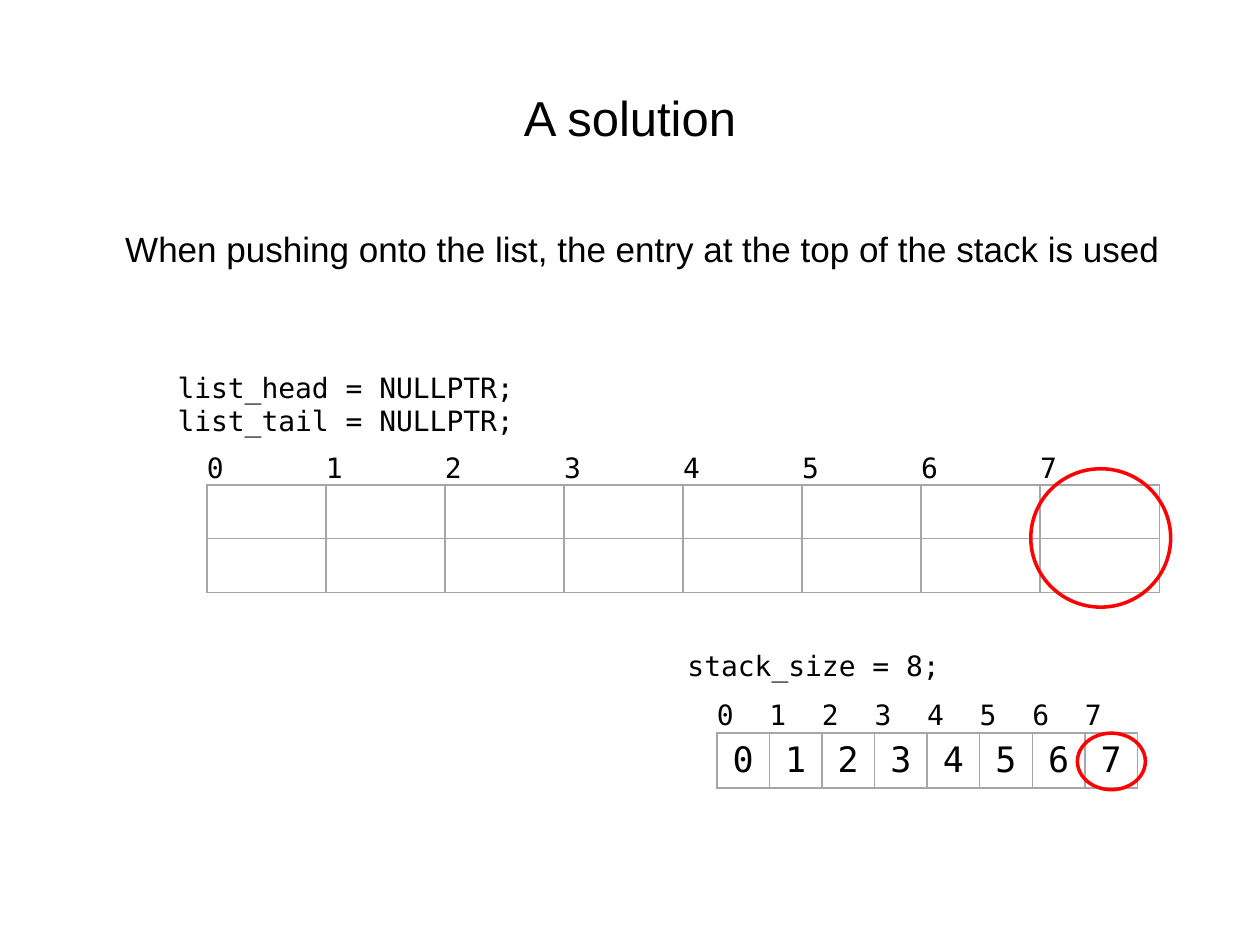
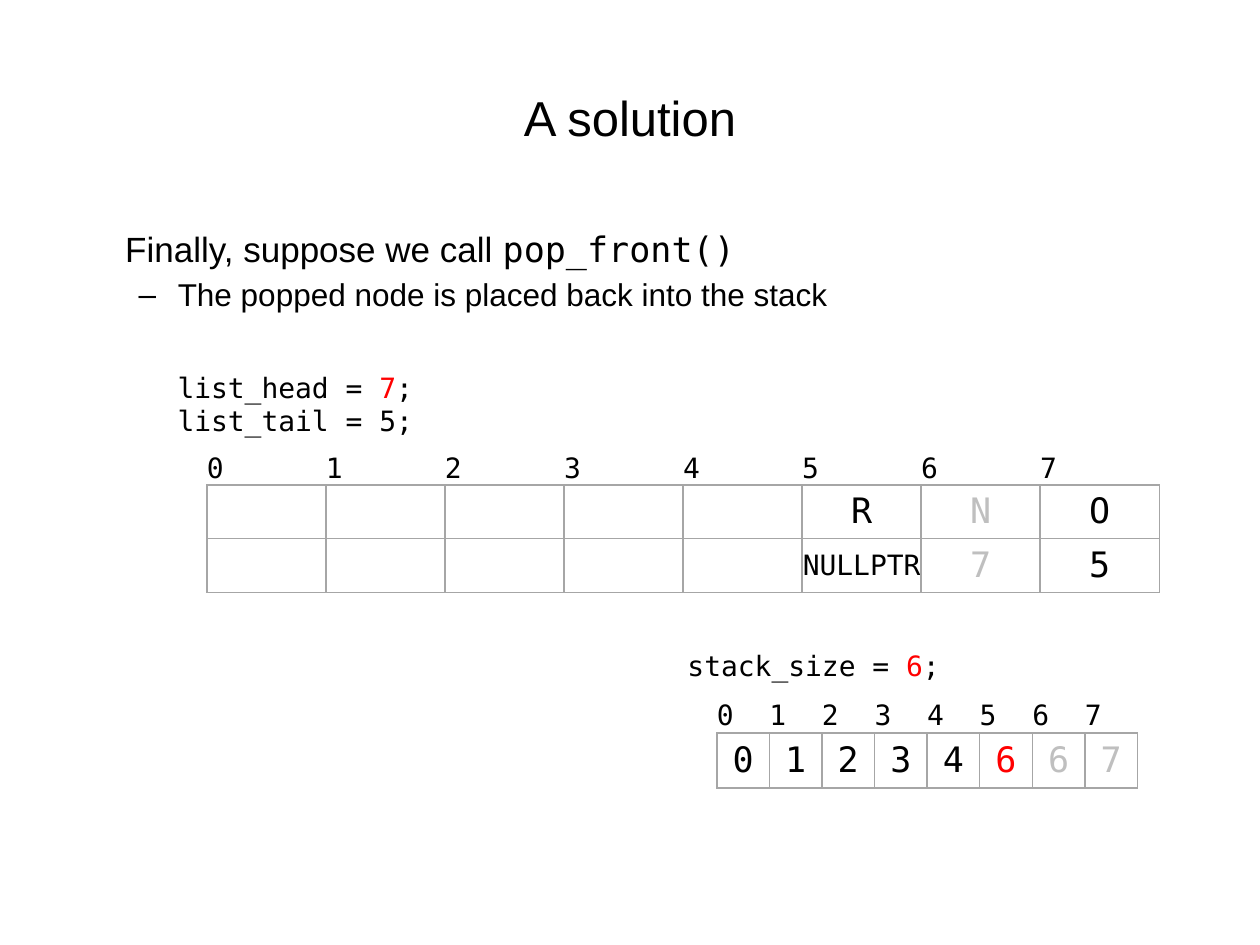
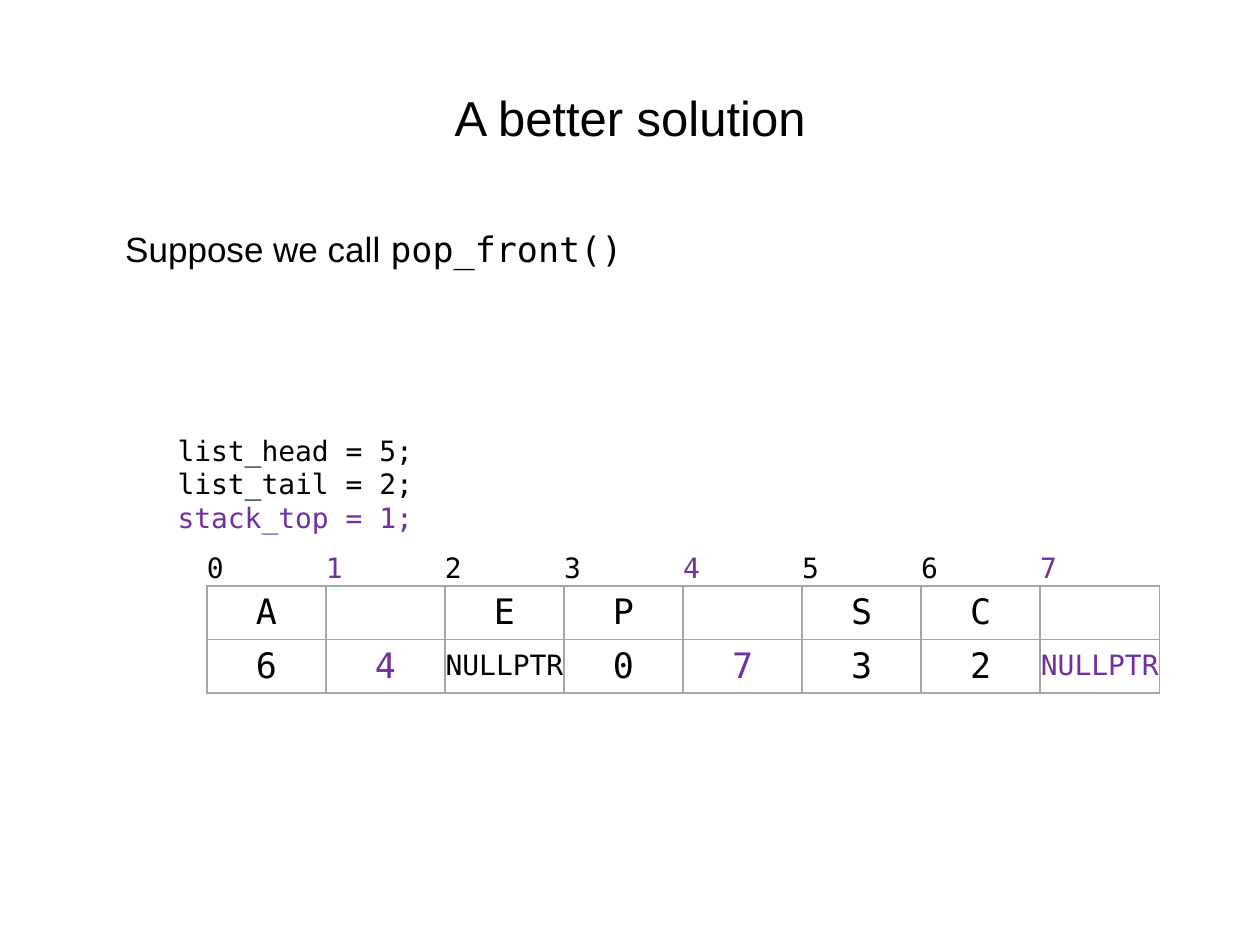
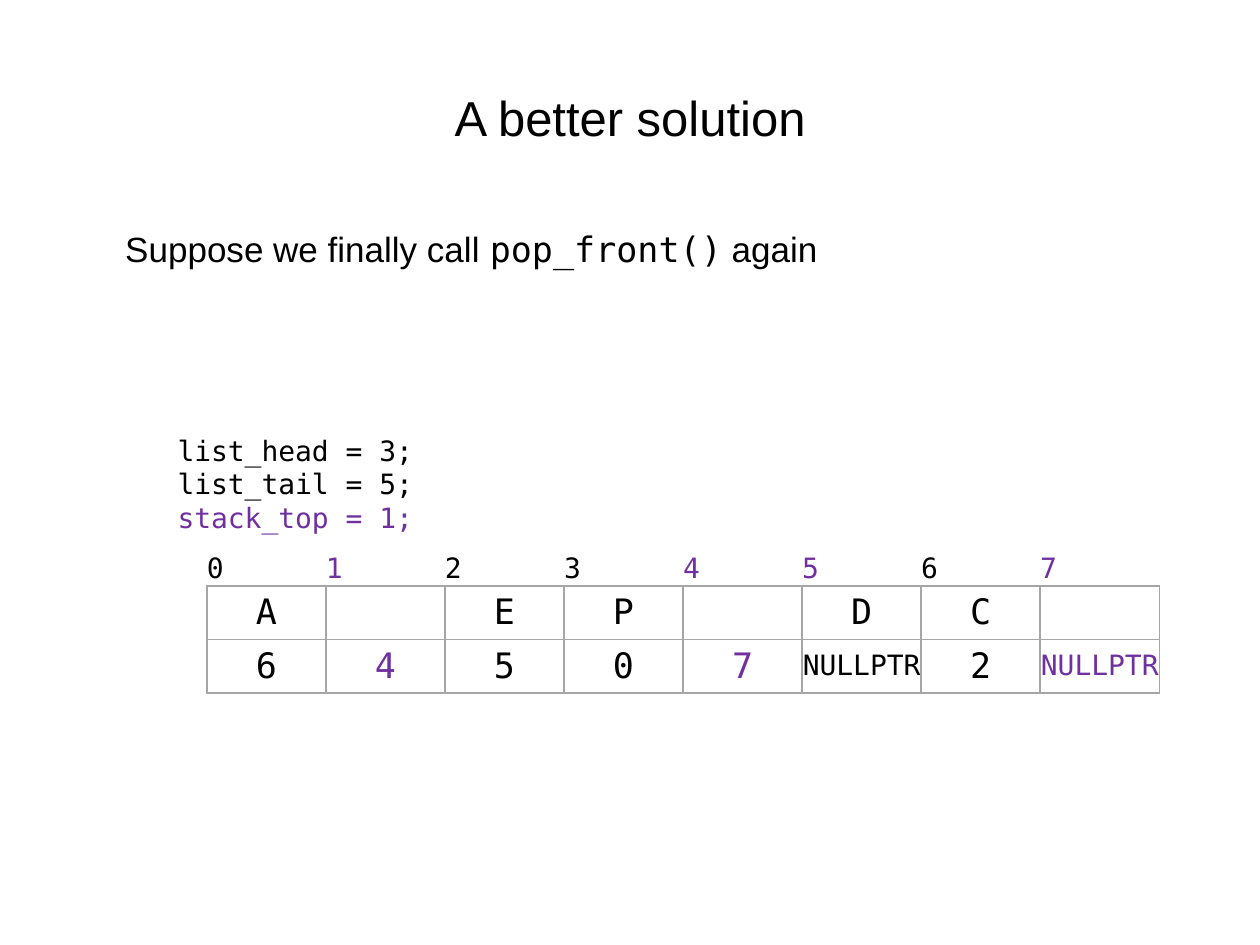
from typing import NamedTuple

from lxml import etree
from pptx import Presentation
from pptx.dml.color import RGBColor
from pptx.enum.shapes import MSO_SHAPE
from pptx.enum.text import MSO_ANCHOR, MSO_AUTO_SIZE, PP_ALIGN
from pptx.oxml.ns import qn
from pptx.util import Cm, Pt

OVAL = MSO_SHAPE.OVAL
MIDDLE = MSO_ANCHOR.MIDDLE
GROW = MSO_AUTO_SIZE.SHAPE_TO_FIT_TEXT
CENTER = PP_ALIGN.CENTER

COLORS = {
    "text": "000000",
    "changed": "FF0000",
    "stale": "BFBFBF",
    "free": "7030A0",
    "grid": "A6A6A6",
}
SANS = "Arial"
MONO = "DejaVu Sans Mono"
CODE_SIZE = 16
VALUE_SIZE = 20
SLOTS = [str(index) for index in range(8)]
NULL = "NULLPTR"


class Span(NamedTuple):
    text: str
    color: str = "text"
    font: str = ""


class ArrayStyle(NamedTuple):
    left: float
    column_width: float
    header_height: float
    row_height: float


NODE_ARRAY = ArrayStyle(4.17, 2.4, 0.66, 1.08)
STACK_ARRAY = ArrayStyle(14.45, 1.06, 0.68, 1.09)


def changed(text):
    return Span(text, "changed")


def stale(text):
    return Span(text, "stale")


def free(text):
    return Span(text, "free")


def code(text):
    return Span(text, font=MONO)


def as_span(item):
    return item if isinstance(item, Span) else Span(item)


def rgb(name):
    return RGBColor.from_string(COLORS[name])


def place(shape, left, top, width, height):
    shape.left, shape.top = Cm(left), Cm(top)
    shape.width, shape.height = Cm(width), Cm(height)


def write(para, items, size, font):
    """Fill a paragraph with spans; only what differs is set on a run."""
    spans = [as_span(item) for item in items]
    base_color = spans[0].color
    para.font.size = Pt(size)
    para.font.name = font
    para.font.color.rgb = rgb(base_color)
    for span in spans:
        run = para.add_run()
        run.text = span.text
        if span.font:
            run.font.name = span.font
        if span.color != base_color:
            run.font.color.rgb = rgb(span.color)


def add_slide(deck, title, statement, detail=""):
    page = deck.slides.add_slide(deck.slide_layouts[1])
    heading, body = page.placeholders
    place(heading, 1.27, 0.76, 22.86, 3.18)
    heading.text_frame.vertical_anchor = MIDDLE
    para = heading.text_frame.paragraphs[0]
    para.alignment = CENTER
    write(para, [title], 28, SANS)

    place(body, 1.27, 4.45, 22.86, 12.57)
    para = body.text_frame.paragraphs[0]
    para.space_before = Pt(0)
    set_indent(para, 1, 0)
    etree.SubElement(para._p.get_or_add_pPr(), qn("a:buNone"))
    write(para, statement, 20, SANS)
    if detail:
        para = body.text_frame.add_paragraph()
        para.level = 1
        para.space_before = Pt(3.6)
        set_indent(para, 2.06, -0.79)
        write(para, [detail], 18, SANS)
    return page


def set_indent(para, left, first_line):
    properties = para._p.get_or_add_pPr()
    properties.set("marL", str(Cm(left)))
    properties.set("indent", str(Cm(first_line)))


def add_code(page, left, top, width, lines):
    box = page.shapes.add_textbox(Cm(left), Cm(top), Cm(width),
                                  Cm(0.26 + 0.68 * len(lines)))
    frame = box.text_frame
    frame.word_wrap = True
    frame.auto_size = GROW
    for number, line in enumerate(lines):
        para = frame.add_paragraph() if number else frame.paragraphs[0]
        write(para, line, CODE_SIZE, MONO)


def set_borders(cell, visible_sides):
    properties = cell._tc.get_or_add_tcPr()
    for side in "LRTB":
        line = etree.SubElement(properties, qn(f"a:ln{side}"), w=str(Pt(1)))
        if side in visible_sides:
            fill = etree.SubElement(line, qn("a:solidFill"))
            etree.SubElement(fill, qn("a:srgbClr"), val=COLORS["grid"])
        else:
            etree.SubElement(line, qn("a:noFill"))


def remove_margins(cell):
    cell.margin_left = cell.margin_right = 0
    cell.margin_top = cell.margin_bottom = 0


def add_array(page, style, top, rows, header=SLOTS):
    """Draw an array as a grid with its indices standing above it."""
    heights = [style.header_height] + [style.row_height] * len(rows)
    table = page.shapes.add_table(
        len(heights), len(header), Cm(style.left), Cm(top),
        Cm(style.column_width * len(header)), Cm(sum(heights))).table
    table.first_row = table.horz_banding = False
    for column in table.columns:
        column.width = Cm(style.column_width)
    for row_number, items in enumerate([header, *rows]):
        table.rows[row_number].height = Cm(heights[row_number])
        for column_number, item in enumerate(items):
            cell = table.cell(row_number, column_number)
            span = as_span(item)
            para = cell.text_frame.paragraphs[0]
            is_header = row_number == 0
            set_borders(cell, "B" if is_header else "LRTB")
            cell.fill.background()
            if is_header or span.text == NULL:
                remove_margins(cell)
            if not is_header:
                para.alignment = CENTER
            if span.text == NULL:
                cell.vertical_anchor = MIDDLE
            if span.text:
                small = is_header or span.text == NULL
                write(para, [span], CODE_SIZE if small else VALUE_SIZE, MONO)


def add_ring(page, left, top, width, height):
    ring = page.shapes.add_shape(OVAL, Cm(left), Cm(top), Cm(width), Cm(height))
    ring.shadow.inherit = False
    ring.fill.background()
    ring.line.color.rgb = rgb("changed")
    ring.line.width = Pt(2)


def add_list_with_stack(page, pointers, nodes, size, stack):
    add_array(page, NODE_ARRAY, 9.12, nodes)
    add_code(page, 3.33, 7.34, 8.81, pointers)
    add_array(page, STACK_ARRAY, 14.1, [stack])
    add_code(page, 13.61, 12.95, 6.07, [["stack_size = ", size, ";"]])


def add_list_with_free_chain(page, head, tail, top, nodes, free_slots):
    header = [free(slot) if slot in free_slots else slot for slot in SLOTS]
    add_array(page, NODE_ARRAY, 11.15, nodes, header)
    add_code(page, 3.33, 8.61, 6.07, [
        [f"list_head = {head};"],
        [f"list_tail = {tail};"],
        [free(f"stack_top = {top};")],
    ])


def main():
    deck = Presentation()
    deck.slide_width, deck.slide_height = Cm(25.4), Cm(19.05)

    page = add_slide(deck, "A solution", [
        "When pushing onto the list, the entry at the top of the stack is used"])
    add_list_with_stack(
        page, [["list_head = NULLPTR;"], ["list_tail = NULLPTR;"]],
        [[""] * 8] * 2, "8", SLOTS)
    add_ring(page, 21.72, 14.78, 1.37, 1.14)
    add_ring(page, 20.78, 9.45, 2.82, 2.79)

    page = add_slide(
        deck, "A solution",
        ["Finally, suppose we call ", code("pop_front()")],
        "The popped node is placed back into the stack")
    add_list_with_stack(
        page, [["list_head = ", changed("7"), ";"], ["list_tail = 5;"]],
        [[""] * 5 + ["R", stale("N"), "O"],
         [""] * 5 + [NULL, stale("7"), "5"]],
        changed("6"),
        SLOTS[:5] + [changed("6"), stale("6"), stale("7")])

    page = add_slide(deck, "A better solution",
                     ["Suppose we call ", code("pop_front()")])
    add_list_with_free_chain(
        page, 5, 2, 1,
        [["A", "", "E", "P", "", "S", "C", ""],
         ["6", free("4"), NULL, "0", free("7"), "3", "2", free(NULL)]],
        "147")

    page = add_slide(deck, "A better solution", [
        "Suppose we finally call ", code("pop_front()"), " again"])
    add_list_with_free_chain(
        page, 3, 5, 1,
        [["A", "", "E", "P", "", "D", "C", ""],
         ["6", free("4"), "5", "0", free("7"), NULL, "2", free(NULL)]],
        "1457")

    deck.save("out.pptx")


if __name__ == "__main__":
    main()
